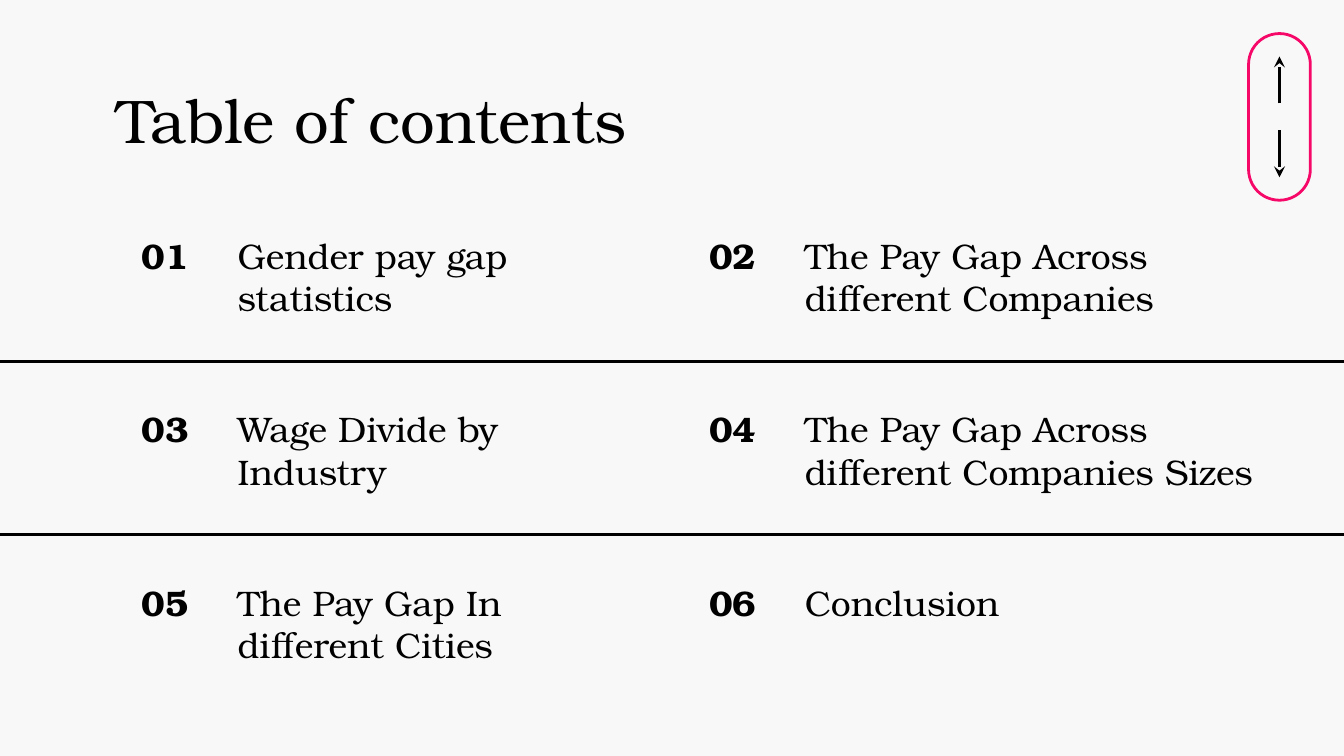
from pptx import Presentation, util as u
from pptx.dml.color import RGBColor
from pptx.enum import shapes, text
from pptx.oxml.ns import qn
from lxml import etree

WIDTH = 10
HEIGHT = WIDTH * 9 / 16
FONT = "TeX Gyre Bonum"
BLACK, PINK, PAPER = "000000", "F60869", "F8F8F9"

COLUMNS, COLUMN_STEP = 2, 4.22
FIRST_LEFT, FIRST_TOP = 0.78, 1.64
ROW_STEP, ROW_HEIGHT = 1.29, 0.81
NUMBER_WIDTH, TOPIC_OFFSET = 0.9, 0.89
RULE_OFFSET = 1.05

TOPICS = [
    ("Gender pay gap statistics", 3.33),
    ("The Pay Gap Across different Companies", 3.33),
    ("Wage Divide by Industry", 3.2),
    ("The Pay Gap Across different Companies Sizes", 3.63),
    ("The Pay Gap In different Cities", 3.33),
    ("Conclusion", 3.33),
]


def color(hex_value):
    return RGBColor.from_string(hex_value)


def add_text(page, words, left, top, width, height, size, bold=False, centered=False):
    box = page.shapes.add_textbox(*map(u.Inches, (left, top, width, height)))
    frame = box.text_frame
    frame.word_wrap = True
    frame.vertical_anchor = text.MSO_ANCHOR.TOP
    frame.margin_left = frame.margin_right = u.Inches(0.1)
    frame.margin_top = frame.margin_bottom = u.Inches(0.1)
    frame.text = words
    para = frame.paragraphs[0]
    para.alignment = text.PP_ALIGN.CENTER if centered else text.PP_ALIGN.LEFT
    font = para.runs[0].font
    font.name, font.size, font.bold = FONT, u.Pt(size), bold
    font.color.rgb = color(BLACK)


def add_line(page, start, end, arrow=False):
    line = page.shapes.add_connector(
        shapes.MSO_CONNECTOR.STRAIGHT, *map(u.Inches, (*start, *end)))
    line.line.color.rgb = color(BLACK)
    line.line.width = u.Pt(1.5)
    properties = line._element.spPr
    if arrow:
        etree.SubElement(properties.find(qn("a:ln")), qn("a:tailEnd"), type="stealth")
    etree.SubElement(properties, qn("a:effectLst"))


def add_scroll_badge(page, left, top, width, height):
    """Draw a pill outline holding an up arrow and a down arrow."""
    pill = page.shapes.add_shape(
        shapes.MSO_SHAPE.ROUNDED_RECTANGLE, *map(u.Inches, (left, top, width, height)))
    pill.adjustments[0] = 0.5
    pill.shadow.inherit = False
    pill.fill.background()
    pill.line.color.rgb = color(PINK)
    pill.line.width = u.Pt(1.5)
    center, middle = left + width / 2, top + height / 2
    for direction in (1, -1):
        add_line(page, (center, middle + direction * 0.1),
                 (center, middle + direction * 0.45), arrow=True)


def add_topic(page, index, words, width):
    row, column = divmod(index, COLUMNS)
    left = FIRST_LEFT + column * COLUMN_STEP
    top = FIRST_TOP + row * ROW_STEP
    add_text(page, f"{index + 1:02}", left, top, NUMBER_WIDTH, ROW_HEIGHT, 19,
             bold=True, centered=True)
    add_text(page, words, left + TOPIC_OFFSET, top, width, ROW_HEIGHT, 19)


def main():
    deck = Presentation()
    deck.slide_width, deck.slide_height = u.Inches(WIDTH), u.Inches(HEIGHT)
    page = deck.slides.add_slide(deck.slide_layouts[6])
    page.background.fill.solid()
    page.background.fill.fore_color.rgb = color(PAPER)

    add_text(page, "Table of contents", 0.77, 0.51, 8.45, 0.63, 33)
    for index, (words, width) in enumerate(TOPICS):
        add_topic(page, index, words, width)
    for row in range(len(TOPICS) // COLUMNS - 1):
        y = FIRST_TOP + RULE_OFFSET + row * ROW_STEP
        add_line(page, (-0.03, y), (WIDTH + 0.05, y))
    add_scroll_badge(page, 9.29, 0.25, 0.46, 1.24)

    deck.save("out.pptx")


if __name__ == "__main__":
    main()
